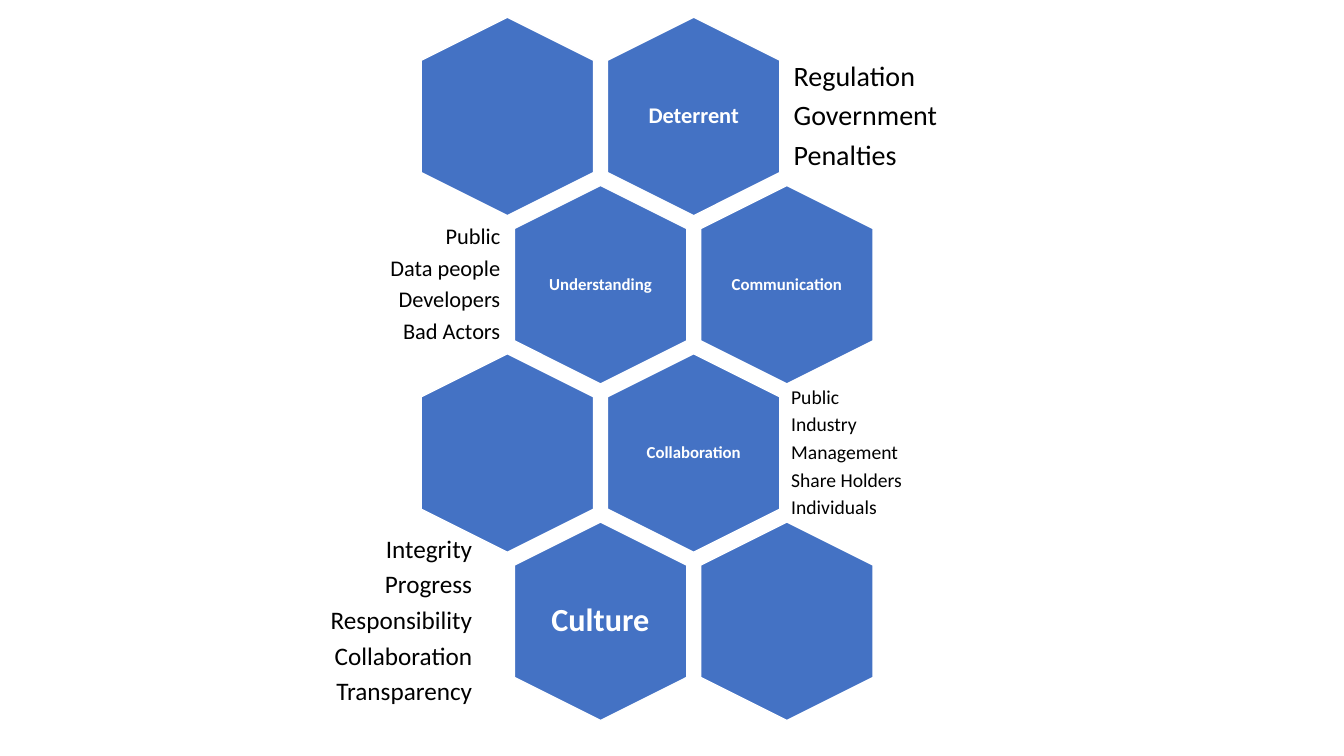
from pptx import Presentation
from pptx.dml.color import RGBColor
from pptx.enum.shapes import MSO_SHAPE
from pptx.enum.text import MSO_ANCHOR, PP_ALIGN
from pptx.util import Pt

HEXAGON = MSO_SHAPE.HEXAGON
MIDDLE = MSO_ANCHOR.MIDDLE
LEFT, CENTER, RIGHT = PP_ALIGN.LEFT, PP_ALIGN.CENTER, PP_ALIGN.RIGHT

HEXAGON_ROWS = [
    [None, ("Deterrent", 16, 5)],
    [("Understanding", 12, 3.8), ("Communication", 12, 0)],
    [None, ("Collaboration", 12, 3.8)],
    [("Culture", 23, 7.3), None],
]
SIDE_LISTS = [
    (0, 560.9, 157.7, LEFT, 20, 6, ["Regulation", "Government", "Penalties"]),
    (1, 209.5, 152.6, RIGHT, 16, 4.8,
     ["Public", "Data people", "Developers", "Bad Actors"]),
    (2, 560.9, 157.7, LEFT, 14, 4.2,
     ["Public", "Industry", "Management", "Share Holders", "Individuals"]),
    (3, 190.1, 152.6, RIGHT, 18, 5.4,
     ["Integrity", "Progress", "Responsibility", "Collaboration", "Transparency"]),
]

BLUE, WHITE, BLACK = "4472C4", "FFFFFF", "000000"
HEXAGON_LENGTH, HEXAGON_BREADTH = 141.8, 123.2
FIRST_CENTER_X, FIRST_CENTER_Y = 362.4, 83.2
COLUMN_STEP, ROW_STEP = 133.1, 120.2
LABEL_WIDTH, LABEL_HEIGHT = 85, 97.2
LIST_HEIGHT = 85


def color(value):
    return RGBColor.from_string(value)


def row_center(row):
    return FIRST_CENTER_Y + row * ROW_STEP


def add_hexagon(slide, center_x, center_y):
    shape = slide.shapes.add_shape(
        HEXAGON,
        Pt(center_x - HEXAGON_LENGTH / 2), Pt(center_y - HEXAGON_BREADTH / 2),
        Pt(HEXAGON_LENGTH), Pt(HEXAGON_BREADTH))
    shape.adjustments[0] = 0.25
    shape.rotation = 90
    shape.shadow.inherit = False
    shape.fill.solid()
    shape.fill.fore_color.rgb = color(BLUE)
    shape.line.color.rgb = color(WHITE)
    shape.line.width = Pt(1)


def add_text(slide, left, center_y, width, height, lines, inset, alignment, font):
    box = slide.shapes.add_textbox(
        Pt(left), Pt(center_y - height / 2), Pt(width), Pt(height))
    frame = box.text_frame
    frame_format = {"word_wrap": True, "vertical_anchor": MIDDLE}
    for side in ("left", "top", "right", "bottom"):
        frame_format["margin_" + side] = Pt(inset)
    for name, value in frame_format.items():
        setattr(frame, name, value)
    frame.text = "\n".join(lines)
    paragraph_format = {
        "alignment": alignment,
        "line_spacing": 0.9,
        "space_after": Pt(round(font["size"].pt * 0.33, 2)),
    }
    for paragraph in frame.paragraphs:
        for name, value in paragraph_format.items():
            setattr(paragraph, name, value)
        for run in paragraph.runs:
            for name, value in font.items():
                if name == "color":
                    run.font.color.rgb = color(value)
                else:
                    setattr(run.font, name, value)


def main():
    presentation = Presentation()
    presentation.slide_width, presentation.slide_height = Pt(960), Pt(540)
    slide = presentation.slides.add_slide(presentation.slide_layouts[6])

    for row, labels in enumerate(HEXAGON_ROWS):
        center_y = row_center(row)
        for column, label in enumerate(labels):
            center_x = FIRST_CENTER_X + (column + row % 2 / 2) * COLUMN_STEP
            add_hexagon(slide, center_x, center_y)
            if label:
                text, size, inset = label
                font = {"name": "Calibri", "size": Pt(size), "bold": True,
                        "color": WHITE}
                add_text(slide, center_x - LABEL_WIDTH / 2, center_y, LABEL_WIDTH,
                         LABEL_HEIGHT, [text], inset, CENTER, font)

    for row, left, width, alignment, size, inset, lines in SIDE_LISTS:
        font = {"name": "Calibri", "size": Pt(size), "color": BLACK}
        add_text(slide, left, row_center(row), width, LIST_HEIGHT, lines, inset,
                 alignment, font)

    presentation.save("out.pptx")


if __name__ == "__main__":
    main()
